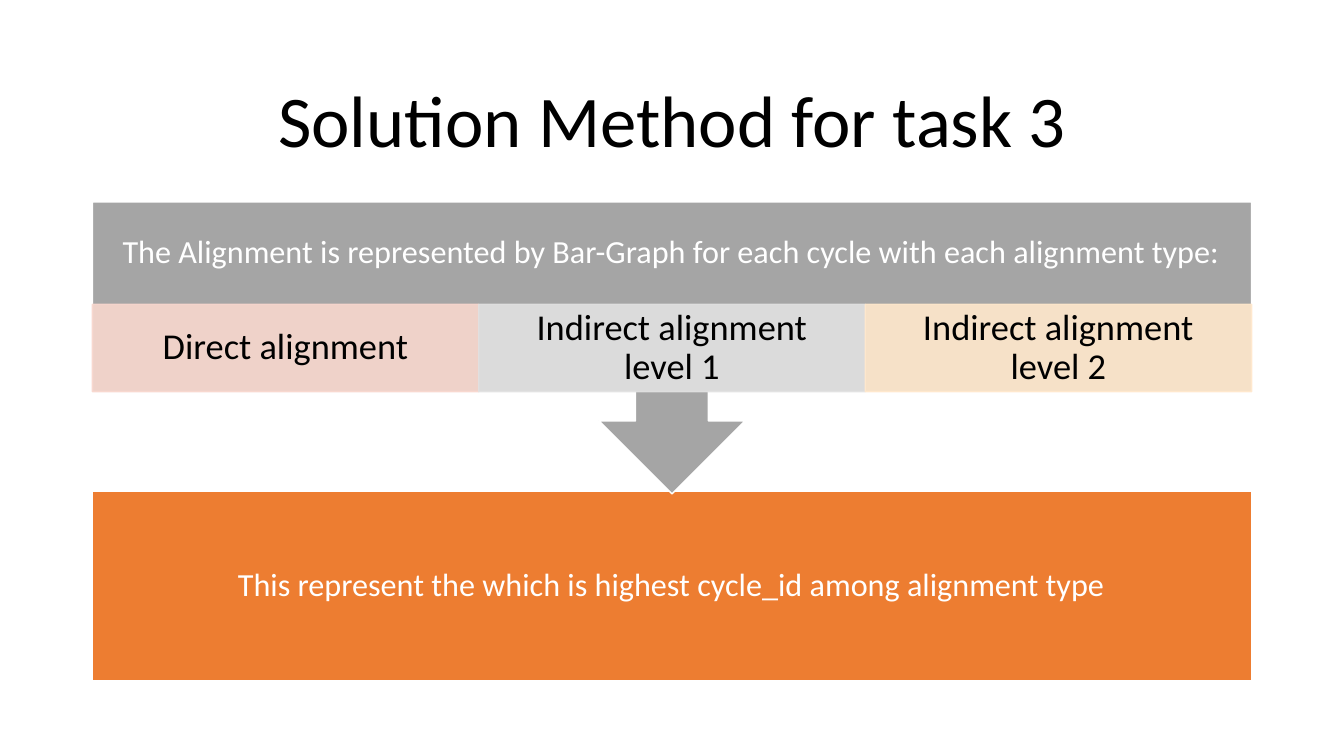
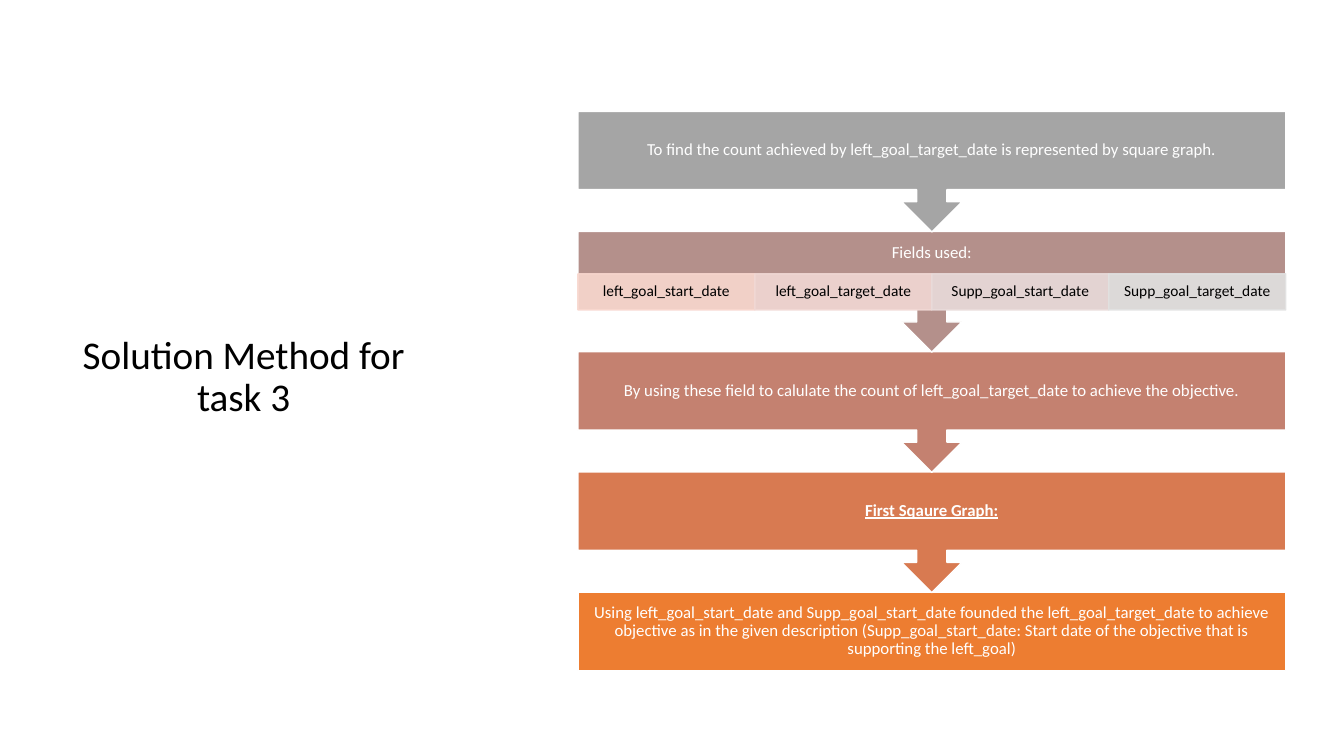
from dataclasses import dataclass

from lxml import etree
from pptx import Presentation
from pptx import util as u
from pptx.dml.color import RGBColor
from pptx.enum import shapes, text
from pptx.oxml import ns

FONT = "Calibri"
WHITE = RGBColor(0xFF, 0xFF, 0xFF)
BLACK = RGBColor(0x00, 0x00, 0x00)
GRAY = RGBColor(0xA5, 0xA5, 0xA5)
MAUVE = RGBColor(0xB4, 0x90, 0x8B)
ROSE = RGBColor(0xC4, 0x81, 0x70)
RUST = RGBColor(0xD8, 0x7A, 0x51)
ORANGE = RGBColor(0xED, 0x7D, 0x31)
PALE_PEACH = RGBColor(0xF8, 0xD7, 0xCE)
PALE_ROSE = RGBColor(0xF1, 0xD8, 0xD4)
PALE_MAUVE = RGBColor(0xE9, 0xDB, 0xDA)
PALE_GRAY = RGBColor(0xE1, 0xE1, 0xE1)
PALE_ORANGE = RGBColor(0xFF, 0xE8, 0xCC)

TITLE = "Solution Method for task 3"
BOX_SHARE = 0.65   # part of a callout's height taken by its box
CELL_SHARE = 0.46  # part of a box's height taken by its cells


@dataclass
class Step:
    """One box of a flow, with optional (label, color) cells at its foot."""
    label: str
    color: RGBColor
    cells: tuple = ()
    heading: bool = False


@dataclass
class FlowStyle:
    """Measures of a flow, in points."""
    left: float
    top: float
    width: float
    callout_height: float
    pitch: float
    size: float
    margin: float
    cell_size: float
    cell_margins: tuple


def write(shape, content, *, size, color, margins=(7.2, 3.6, 7.2, 3.6),
          heading=False):
    """Put centred text in a shape; margins are left, top, right, bottom."""
    frame = shape.text_frame
    frame.word_wrap = True
    frame.vertical_anchor = text.MSO_ANCHOR.MIDDLE
    (frame.margin_left, frame.margin_top,
     frame.margin_right, frame.margin_bottom) = map(u.Pt, margins)
    paragraph = frame.paragraphs[0]
    paragraph.alignment = text.PP_ALIGN.CENTER
    paragraph.line_spacing = 0.9
    run = paragraph.add_run()
    run.text = content
    run.font.name = FONT
    run.font.size = u.Pt(size)
    run.font.color.rgb = color
    run.font.bold = run.font.underline = heading


def add_title(slide, left, top, width, height, size):
    box = slide.shapes.add_textbox(*map(u.Pt, (left, top, width, height)))
    write(box, TITLE, size=size, color=BLACK)


def add_block(slide, kind, left, top, width, height, fill, line):
    shape = slide.shapes.add_shape(
        kind, *map(u.Pt, (left, top, width, height)))
    shape.shadow.inherit = False
    shape.fill.solid()
    shape.fill.fore_color.rgb = fill
    shape.line.color.rgb = line
    shape.line.width = u.Pt(1)
    return shape


def set_opacity(shape, percent):
    """Apply the opacity to both fill and line."""
    for color in shape.element.spPr.iter(ns.qn("a:srgbClr")):
        alpha = etree.SubElement(color, ns.qn("a:alpha"))
        alpha.set("val", str(percent * 1000))


def add_cells(slide, cells, style, top, height):
    width = style.width / len(cells)
    for index, (label, color) in enumerate(cells):
        cell = add_block(slide, shapes.MSO_SHAPE.RECTANGLE,
                         style.left + index * width, top, width, height,
                         color, color)
        set_opacity(cell, 90)
        write(cell, label, size=style.cell_size, color=BLACK,
              margins=style.cell_margins)


def add_flow(slide, steps, style):
    """Stack the steps from the last up, so arrow tips lie over the next box."""
    box_height = style.callout_height * BOX_SHARE
    cell_height = box_height * CELL_SHARE
    last = len(steps) - 1
    for index, step in reversed(list(enumerate(steps))):
        top = style.top + index * style.pitch
        if index == last:
            kind, height = shapes.MSO_SHAPE.RECTANGLE, box_height
        else:
            kind = shapes.MSO_SHAPE.DOWN_ARROW_CALLOUT
            height = style.callout_height
        block = add_block(slide, kind, style.left, top, style.width, height,
                          step.color, WHITE)
        margin = style.margin
        foot = cell_height if step.cells else 0
        write(block, step.label, size=style.size, color=WHITE,
              margins=(margin, margin, margin, margin + foot),
              heading=step.heading)
        if step.cells:
            add_cells(slide, step.cells, style,
                      top + box_height - cell_height, cell_height)


def build_alignment_slide(slide):
    add_title(slide, 66, 44, 828, 89, size=52)
    style = FlowStyle(left=66, top=144.2, width=828, callout_height=208.6,
                      pitch=206.6, size=23, margin=13, cell_size=26,
                      cell_margins=(14, 3, 14, 3))
    add_flow(slide, [
        Step("The Alignment is represented by Bar-Graph for each cycle "
             "with each alignment type:", GRAY,
             (("Direct alignment", PALE_PEACH),
              ("Indirect alignment level 1", PALE_GRAY),
              ("Indirect alignment level 2", PALE_ORANGE))),
        Step("This represent the which is highest cycle_id among "
             "alignment type", ORANGE),
    ], style)


def build_count_slide(slide):
    add_title(slide, 47.5, 60.5, 253, 419, size=28)
    style = FlowStyle(left=412.8, top=79.5, width=505.6, callout_height=86.2,
                      pitch=85.85, size=12, margin=6.5, cell_size=11,
                      cell_margins=(6.5, 1.5, 6.5, 1.5))
    add_flow(slide, [
        Step("To find the count achieved by left_goal_target_date is "
             "represented by square graph.", GRAY),
        Step("Fields used:", MAUVE,
             (("left_goal_start_date", PALE_PEACH),
              ("left_goal_target_date", PALE_ROSE),
              ("Supp_goal_start_date", PALE_MAUVE),
              ("Supp_goal_target_date", PALE_GRAY))),
        Step("By using these field to calulate the count of "
             "left_goal_target_date to achieve the objective.", ROSE),
        Step("First Sqaure Graph:", RUST, heading=True),
        Step("Using left_goal_start_date and Supp_goal_start_date founded "
             "the left_goal_target_date to achieve objective as in the given "
             "description (Supp_goal_start_date: Start date of the objective "
             "that is supporting the left_goal)", ORANGE),
    ], style)


def main():
    presentation = Presentation()
    presentation.slide_width = u.Pt(960)
    presentation.slide_height = u.Pt(540)
    blank = presentation.slide_layouts[6]
    for build in (build_alignment_slide, build_count_slide):
        build(presentation.slides.add_slide(blank))
    presentation.save("out.pptx")


if __name__ == "__main__":
    main()
